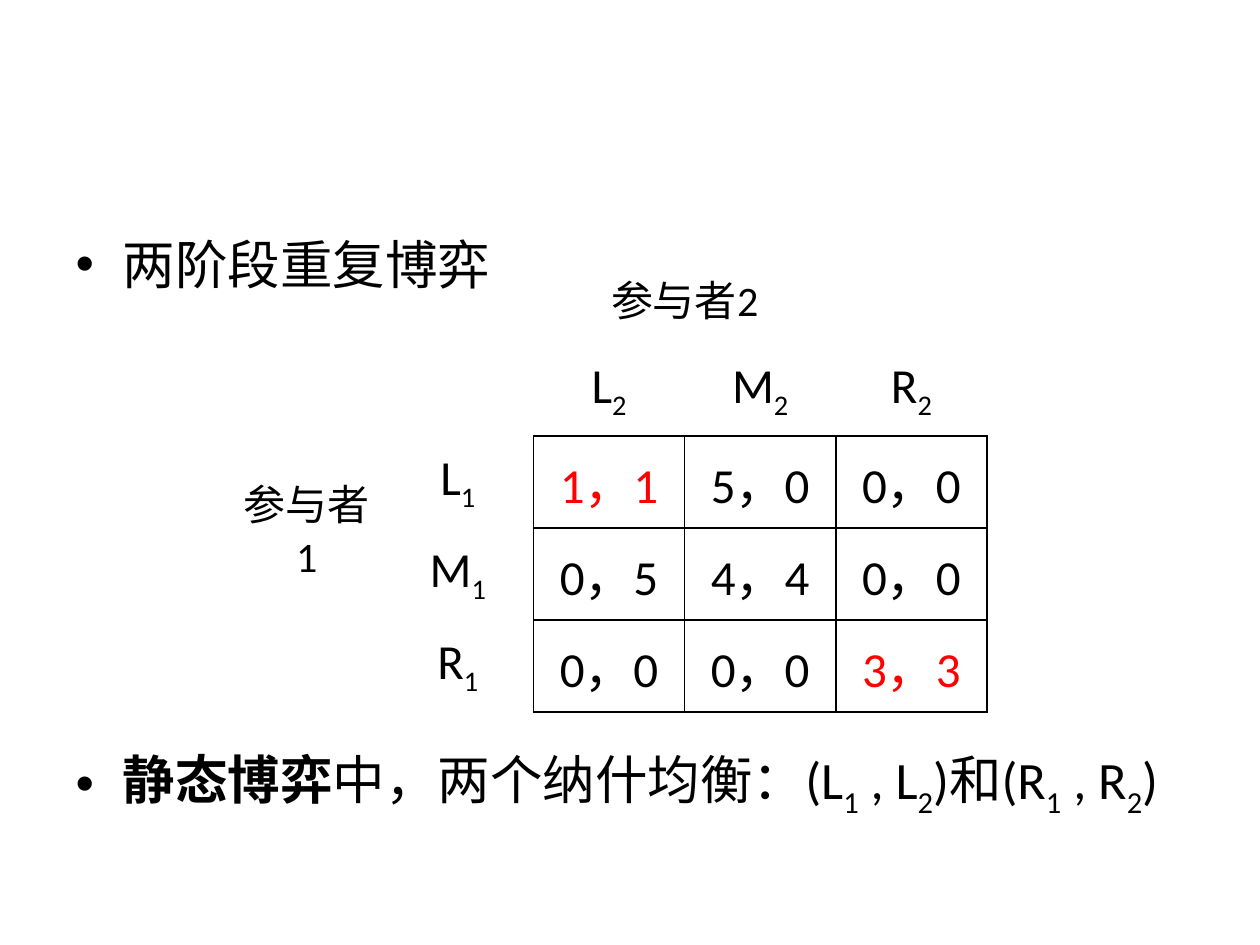
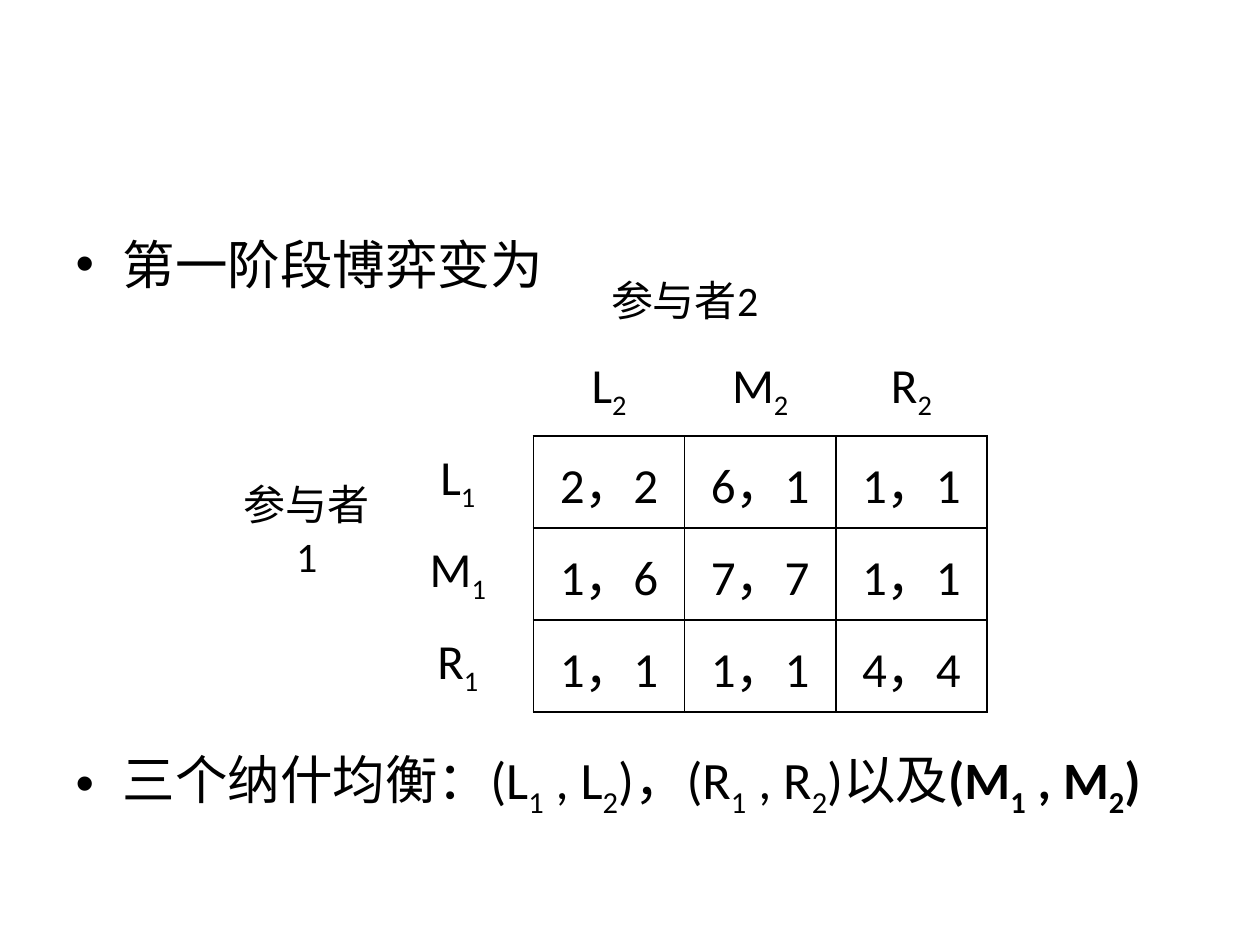
from dataclasses import dataclass

from lxml.etree import SubElement as Sub
from pptx import Presentation
from pptx.dml.color import RGBColor
from pptx.enum.text import MSO_ANCHOR as Anchor, MSO_AUTO_SIZE as Fit, PP_ALIGN as Align
from pptx.oxml.ns import qn
from pptx.util import Pt

BLACK = RGBColor(0, 0, 0)
RED = RGBColor(255, 0, 0)
FONT = "Calibri"
SIDES = {"L": (0, -1), "R": (0, 1), "T": (-1, 0), "B": (1, 0)}
SIZE = 5    # rows and columns of the table
FIRST = 2   # first payoff row and column
MOVES = "LMR"


@dataclass
class Game:
    head: str
    note: str
    pays: tuple[str, ...]
    reds: tuple[tuple[int, int], ...] = ()


# "_" lowers the next character, "*" switches bold on and off
GAMES = [
    Game("两阶段重复博弈",
         "*静态博弈*中，两个纳什均衡：(L_1 , L_2)和(R_1 , R_2)",
         ("11 50 00", "05 44 00", "00 00 33"), ((0, 0), (2, 2))),
    Game("第一阶段博弈变为",
         "三个纳什均衡：(L_1 , L_2)，(R_1 , R_2)以及*(M_1 , M_2)*",
         ("22 61 11", "16 77 11", "11 11 44")),
]


def add_run(para, text: str, size: float, color: RGBColor, bold: bool, low: bool) -> None:
    if not text:
        return
    run = para.add_run()
    run.text = text
    form = {"name": FONT, "size": Pt(size), "bold": bold}
    for key, val in form.items():
        setattr(run.font, key, val)
    run.font.color.rgb = color
    props = run._r.get_or_add_rPr()
    props.set("lang", "zh-CN")
    if low:
        props.set("baseline", "-25000")


def write(para, text: str, size: float, color: RGBColor = BLACK) -> None:
    for i, part in enumerate(text.split("*")):
        bold = i % 2 == 1
        first, *rest = part.split("_")
        add_run(para, first, size, color, bold, False)
        for piece in rest:
            add_run(para, piece[0], size, color, bold, True)
            add_run(para, piece[1:], size, color, bold, False)


def in_grid(row: int, col: int) -> bool:
    return FIRST <= row < SIZE and FIRST <= col < SIZE


def add_edges(cell, row: int, col: int) -> None:
    props = cell._tc.get_or_add_tcPr()
    for side, (down, right) in SIDES.items():
        edge = Sub(props, qn(f"a:ln{side}"), w=str(Pt(1)))
        if in_grid(row, col) or in_grid(row + down, col + right):
            fill = Sub(edge, qn("a:solidFill"))
            Sub(fill, qn("a:srgbClr"), val=str(BLACK))
        else:
            Sub(edge, qn("a:noFill"))


def fill_cell(cell, text: str, size: float = 28, color: RGBColor = BLACK) -> None:
    cell.vertical_anchor = Anchor.MIDDLE
    para = cell.text_frame.paragraphs[0]
    para.alignment = Align.CENTER
    write(para, text, size, color)


def add_body(slide, game: Game) -> None:
    body = slide.placeholders[1]
    box = {"left": Pt(36), "top": Pt(126), "width": Pt(648), "height": Pt(356.4)}
    for key, val in box.items():
        setattr(body, key, val)
    frame = body.text_frame
    frame.auto_size = Fit.NONE
    head, note = frame.paragraphs[0], frame.add_paragraph()
    # The second bullet stands below the table
    for para, text, gap, pitch in ((head, game.head, 0, 39), (note, game.note, 258, 41.4)):
        para.space_before = Pt(gap)
        para.line_spacing = Pt(pitch)
        write(para, text, 30)


def add_game(slide, game: Game) -> None:
    table = slide.shapes.add_table(SIZE, SIZE, Pt(132), Pt(144), Pt(432), Pt(262.8)).table
    for key in ("first_row", "horz_banding"):
        setattr(table, key, False)
    for line in (*table.rows, *table.columns):
        if hasattr(line, "height"):
            line.height = Pt(52.56)
        else:
            line.width = Pt(86.4)

    # Borders and fills
    for row in range(SIZE):
        for col in range(SIZE):
            cell = table.cell(row, col)
            add_edges(cell, row, col)
            cell.fill.background()

    # Player names
    table.cell(0, 2).merge(table.cell(0, 3))
    table.cell(2, 0).merge(table.cell(3, 0))
    fill_cell(table.cell(0, 2), "参与者2", 24)
    fill_cell(table.cell(2, 0), "参与者1", 24)

    # Moves and payoffs
    for i, move in enumerate(MOVES):
        fill_cell(table.cell(1, FIRST + i), f"{move}_2")
        fill_cell(table.cell(FIRST + i, 1), f"{move}_1")
        for j, pair in enumerate(game.pays[i].split()):
            color = RED if (i, j) in game.reds else BLACK
            fill_cell(table.cell(FIRST + i, FIRST + j), "，".join(pair), 28, color)


def main() -> None:
    deck = Presentation()
    deck.slide_width, deck.slide_height = Pt(720), Pt(540)
    for game in GAMES:
        slide = deck.slides.add_slide(deck.slide_layouts[1])
        title = slide.shapes.title._element
        title.getparent().remove(title)
        add_body(slide, game)
        add_game(slide, game)
    deck.save("out.pptx")


if __name__ == "__main__":
    main()
